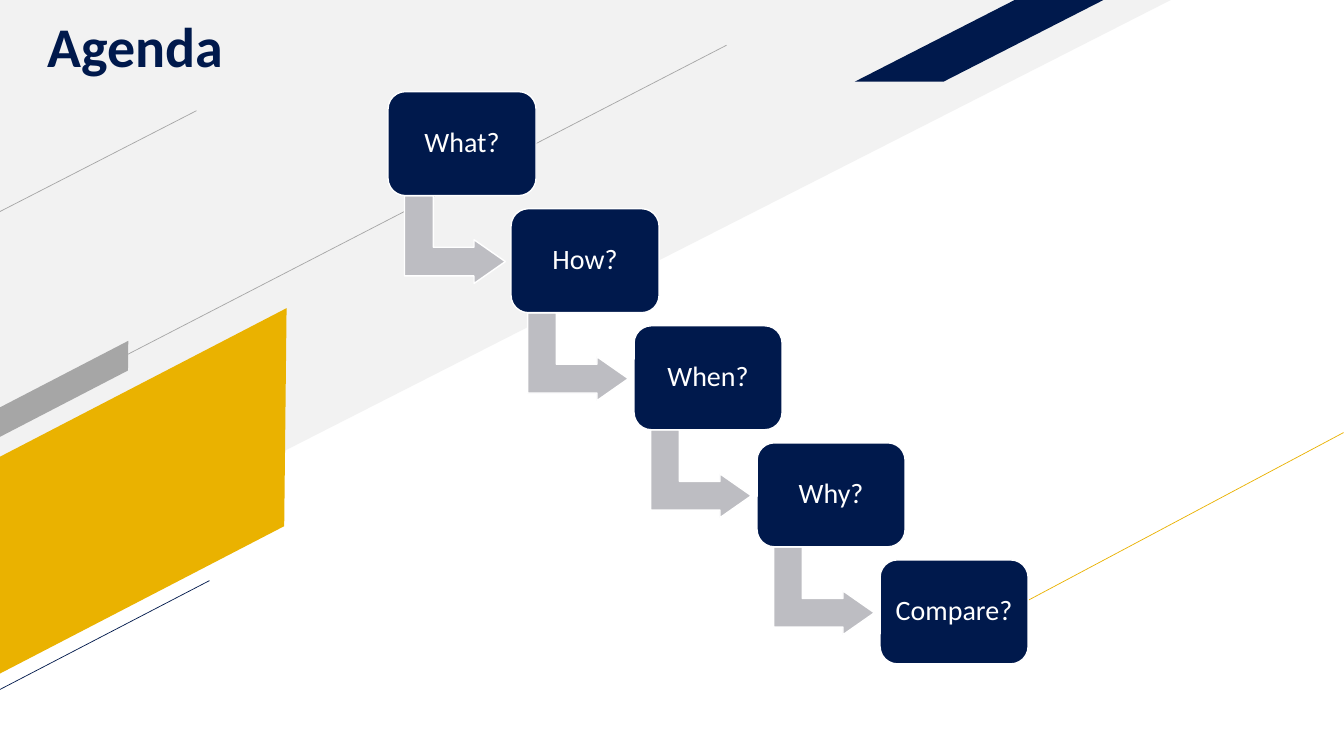
from lxml.etree import SubElement
from pptx import Presentation
from pptx.dml.color import RGBColor
from pptx.enum.shapes import MSO_CONNECTOR, MSO_SHAPE
from pptx.enum.text import MSO_ANCHOR, PP_ALIGN
from pptx.oxml.ns import qn
from pptx.util import Cm, Pt

NAVY = RGBColor(0x00, 0x19, 0x4C)
GOLD = RGBColor(0xEA, 0xB2, 0x00)
GREY = RGBColor(0xA6, 0xA6, 0xA6)
PALE = RGBColor(0xF2, 0xF2, 0xF2)
ARROW_GREY = RGBColor(0xBD, 0xBD, 0xC2)
WHITE = RGBColor(0xFF, 0xFF, 0xFF)

STEPS = ["What?", "How?", "When?", "Why?", "Compare?"]
FIRST_LEFT, FIRST_TOP = 9.78, 2.31
STEP_RIGHT, STEP_DOWN = 3.1, 2.95
BOX_W, BOX_H = 3.73, 2.62


def add_figure(slide, kind, box, fill, adjustments=(), rotation=0, outline=None):
    """Add a filled preset shape; box is left, top, width, height in cm."""
    sp = slide.shapes.add_shape(kind, *map(Cm, box))
    sp.shadow.inherit = False
    sp.rotation = rotation
    for i, value in enumerate(adjustments):
        sp.adjustments[i] = value
    sp.fill.solid()
    sp.fill.fore_color.rgb = fill
    if outline is None:
        sp.line.fill.background()
    else:
        sp.line.color.rgb = outline
        sp.line.width = Pt(1)
    return sp


def add_line(slide, ends, color):
    """Add a thin line; ends is x1, y1, x2, y2 in cm."""
    line = slide.shapes.add_connector(MSO_CONNECTOR.STRAIGHT, *map(Cm, ends))
    line.line.color.rgb = color
    line.line.width = Pt(0.5)
    SubElement(line._element.spPr, qn("a:effectLst"))


def write_text(sp, text, margins, **font):
    """Centre text in a shape; margins are left, top, right, bottom in cm."""
    tf = sp.text_frame
    tf.word_wrap = True
    tf.vertical_anchor = MSO_ANCHOR.MIDDLE
    for side, margin in zip(("left", "top", "right", "bottom"), margins):
        setattr(tf, f"margin_{side}", Cm(margin))
    p = tf.paragraphs[0]
    p.alignment = PP_ALIGN.CENTER
    p.line_spacing = 0.9
    r = p.add_run()
    r.text = text
    r.font.color.rgb = font.pop("color")
    for name, value in {"name": "Calibri", **font}.items():
        setattr(r.font, name, value)


def add_background(slide):
    corner = add_figure(slide, MSO_SHAPE.RIGHT_TRIANGLE, (0, 0, 29.51, 15.01), PALE)
    corner._element.spPr.find(qn("a:xfrm")).set("flipV", "1")
    slanted = MSO_SHAPE.PARALLELOGRAM
    add_figure(slide, slanted, (-1.78, 9.96, 10.72, 4.85), GOLD, [0.532], 332.6)
    add_line(slide, (0, 5.33, 4.95, 2.79), GREY)
    add_line(slide, (25.02, 15.6, 33.86, 10.9), GOLD)
    add_figure(slide, slanted, (21.54, 0, 6.27, 2.06), NAVY, [1.958])
    add_line(slide, (0, 10.59, 18.31, 1.14), GREY)
    add_line(slide, (-0.05, 17.4, 5.28, 14.63), NAVY)
    add_figure(slide, slanted, (-0.38, 9.47, 3.99, 0.66), GREY, [0.532], 332.6)


def add_title(slide, text):
    sp = slide.shapes.add_textbox(Cm(0.69), Cm(0.13), Cm(5.44), Cm(2.11))
    write_text(sp, text, (0.25, 0.13, 0.25, 0), size=Pt(40), bold=True, color=NAVY)


def add_step(slide, index, text):
    """Add one box of the staircase and the arrow to the next box."""
    left = FIRST_LEFT + index * STEP_RIGHT
    top = FIRST_TOP + index * STEP_DOWN
    if index < len(STEPS) - 1:
        add_figure(slide, MSO_SHAPE.BENT_UP_ARROW, (left + 0.58, top + 2.46, 2.21, 2.54),
                   ARROW_GREY, [0.328, 0.25, 0.358], 90, WHITE)
    sp = add_figure(slide, MSO_SHAPE.ROUNDED_RECTANGLE, (left, top, BOX_W, BOX_H),
                    NAVY, [0.167], outline=WHITE)
    write_text(sp, text, [0.2] * 4, size=Pt(20), color=WHITE)


def main():
    prs = Presentation()
    prs.slide_width, prs.slide_height = Cm(33.87), Cm(19.05)
    slide = prs.slides.add_slide(prs.slide_layouts[6])
    add_background(slide)
    add_title(slide, "Agenda")
    for index, text in enumerate(STEPS):
        add_step(slide, index, text)
    prs.save("out.pptx")


if __name__ == "__main__":
    main()
